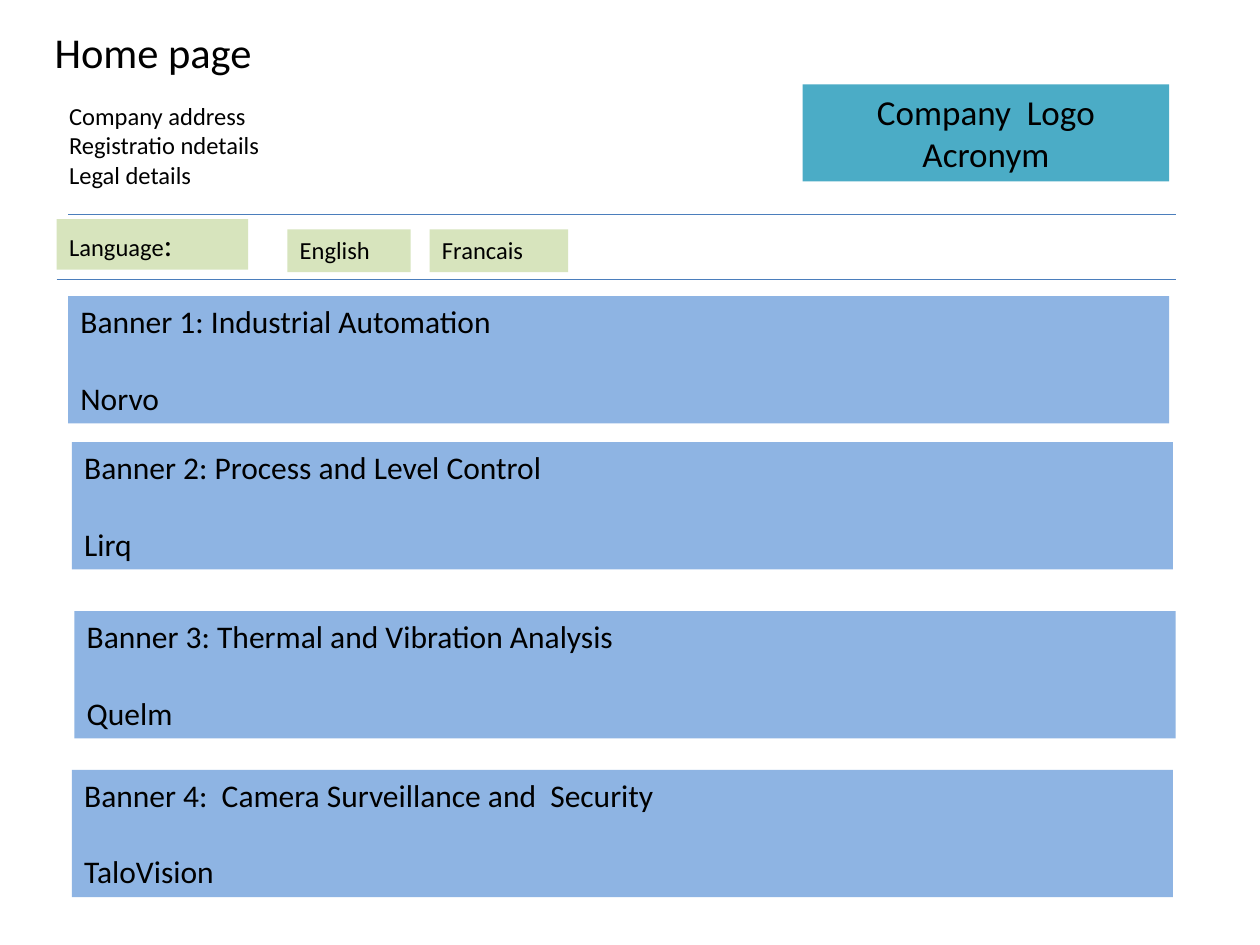
"""Build a home page wireframe with a header, a language bar and four banners."""
import pptx
import pptx.dml.color
import pptx.enum.shapes
import pptx.enum.text
import pptx.oxml.ns
import pptx.util
from lxml import etree

COLS, ROWS = 100, 75
WIDTH, HEIGHT = pptx.util.Inches(10), pptx.util.Inches(7.5)
COLORS = {"banner": "8EB4E3", "language": "D7E4BD", "logo": "4BACC6",
          "text": "000000", "rule": "4B7EBC"}
ALIGN = pptx.enum.text.PP_ALIGN
ANCHOR = pptx.enum.text.MSO_ANCHOR
BANNER_SIZE = 87.4, 10.1
BANNERS = [
    (5.4, 23.5, "Banner 1: Industrial Automation", "Norvo"),
    (5.7, 35.1, "Banner 2: Process and Level Control", "Lirq"),
    (5.9, 48.5, "Banner 3: Thermal and Vibration Analysis", "Quelm"),
    (5.7, 61.1, "Banner 4:  Camera Surveillance and  Security", "TaloVision"),
]
LANGUAGES = [(22.8, 9.8, "English"), (34.1, 11, "Francais")]
RULES = [(5.4, 17), (4.5, 22.2)]
RULE_END = 93.3


def rgb(name):
    """Return the named colour."""
    return pptx.dml.color.RGBColor.from_string(COLORS[name])


def place(col, row):
    """Turn a grid position into slide lengths."""
    return round(WIDTH * col / COLS), round(HEIGHT * row / ROWS)


def set_attrs(obj, values):
    """Set each attribute in a dict of format values."""
    for name, value in values.items():
        setattr(obj, name, value)


def write(sp, lines, size, align=ALIGN.LEFT, anchor=ANCHOR.TOP, gap=0):
    """Write paragraphs of (text, size) runs with a gap between them."""
    tf = sp.text_frame
    set_attrs(tf, {"word_wrap": True, "vertical_anchor": anchor})
    for i, line in enumerate(lines):
        p = tf.paragraphs[0] if i == 0 else tf.add_paragraph()
        space = pptx.util.Pt(gap if i else 0)
        set_attrs(p, {"alignment": align, "space_before": space})
        runs = [(line, size)] if isinstance(line, str) else line
        for text, points in runs:
            r = p.add_run()
            r.text = text
            set_attrs(r.font, {"name": "Calibri", "size": pptx.util.Pt(points)})
            r.font.color.rgb = rgb("text")


def add_text(s, col, row, cols, rows, lines, size, **style):
    """Add a plain text box on the grid."""
    sp = s.shapes.add_textbox(*place(col, row), *place(cols, rows))
    write(sp, lines, size, **style)


def add_box(s, col, row, cols, rows, color, lines, size, **style):
    """Add a filled rectangle with text on the grid."""
    kind = pptx.enum.shapes.MSO_SHAPE.RECTANGLE
    sp = s.shapes.add_shape(kind, *place(col, row), *place(cols, rows))
    sp.shadow.inherit = False
    sp.fill.solid()
    sp.fill.fore_color.rgb = rgb(color)
    sp.line.fill.background()
    write(sp, lines, size, **style)


def add_rule(s, col, row):
    """Add a thin horizontal rule ending at the right margin."""
    kind = pptx.enum.shapes.MSO_CONNECTOR.STRAIGHT
    sp = s.shapes.add_connector(kind, *place(col, row), *place(RULE_END, row))
    sp.line.color.rgb = rgb("rule")
    sp.line.width = pptx.util.Pt(0.75)
    etree.SubElement(sp._element.spPr, pptx.oxml.ns.qn("a:effectLst"))


def main():
    """Build and save the slide."""
    prs = pptx.Presentation()
    set_attrs(prs, {"slide_width": WIDTH, "slide_height": HEIGHT})
    s = prs.slides.add_slide(prs.slide_layouts[6])
    add_text(s, 0.3, 1.3, 23.7, 5.5, ["Home page"], 24.3,
             align=ALIGN.CENTER, anchor=ANCHOR.MIDDLE)
    for col, row, heading, supplier in BANNERS:
        add_box(s, col, row, *BANNER_SIZE, "banner", [heading, supplier], 18, gap=22)
    add_box(s, 4.5, 17.4, 15.2, 4, "language", [[("Language", 14), (":", 18)]], 14)
    for col, cols, name in LANGUAGES:
        add_box(s, col, 18.2, cols, 3.4, "language", [name], 14)
    add_box(s, 63.7, 6.7, 29.1, 7.7, "logo", ["Company  Logo", "Acronym"], 20,
            align=ALIGN.CENTER)
    add_text(s, 4.5, 7.5, 36.7, 8.1,
             ["Company address", "Registratio ndetails", "Legal details"], 14)
    for col, row in RULES:
        add_rule(s, col, row)
    prs.save("out.pptx")


if __name__ == "__main__":
    main()
